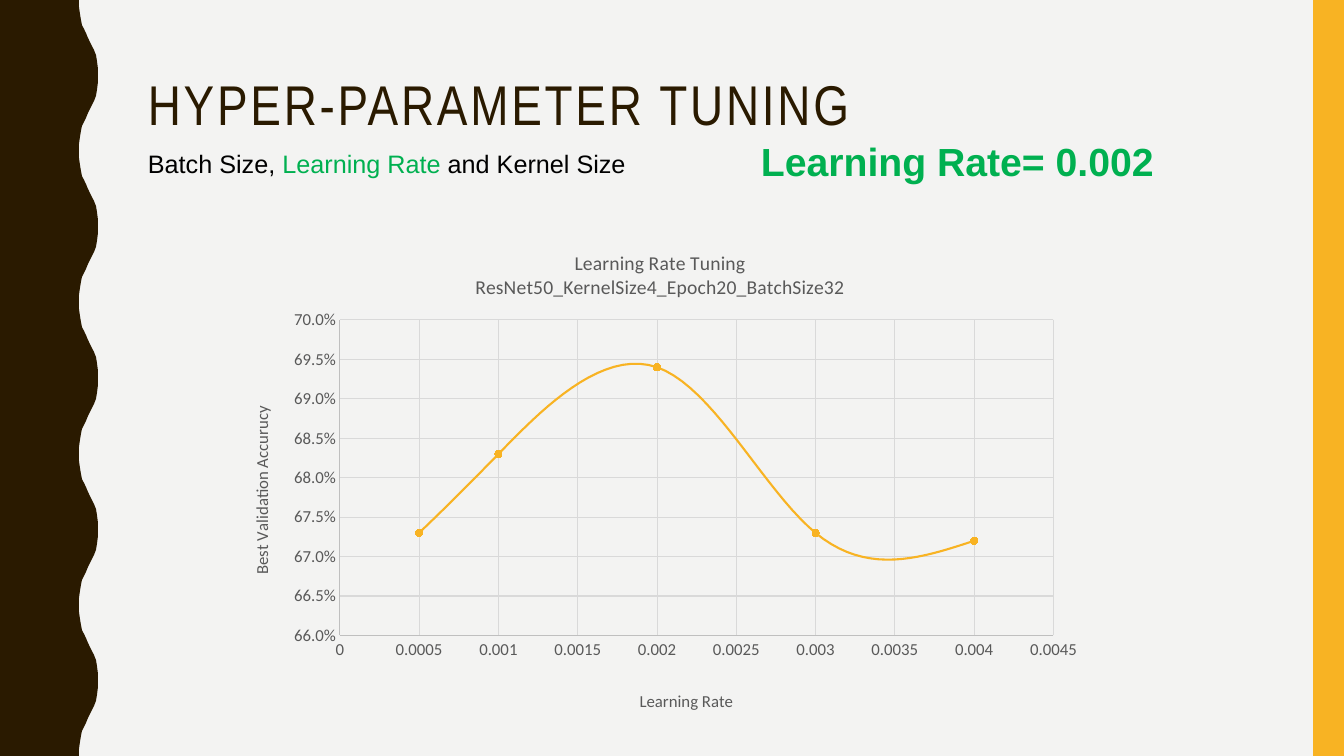
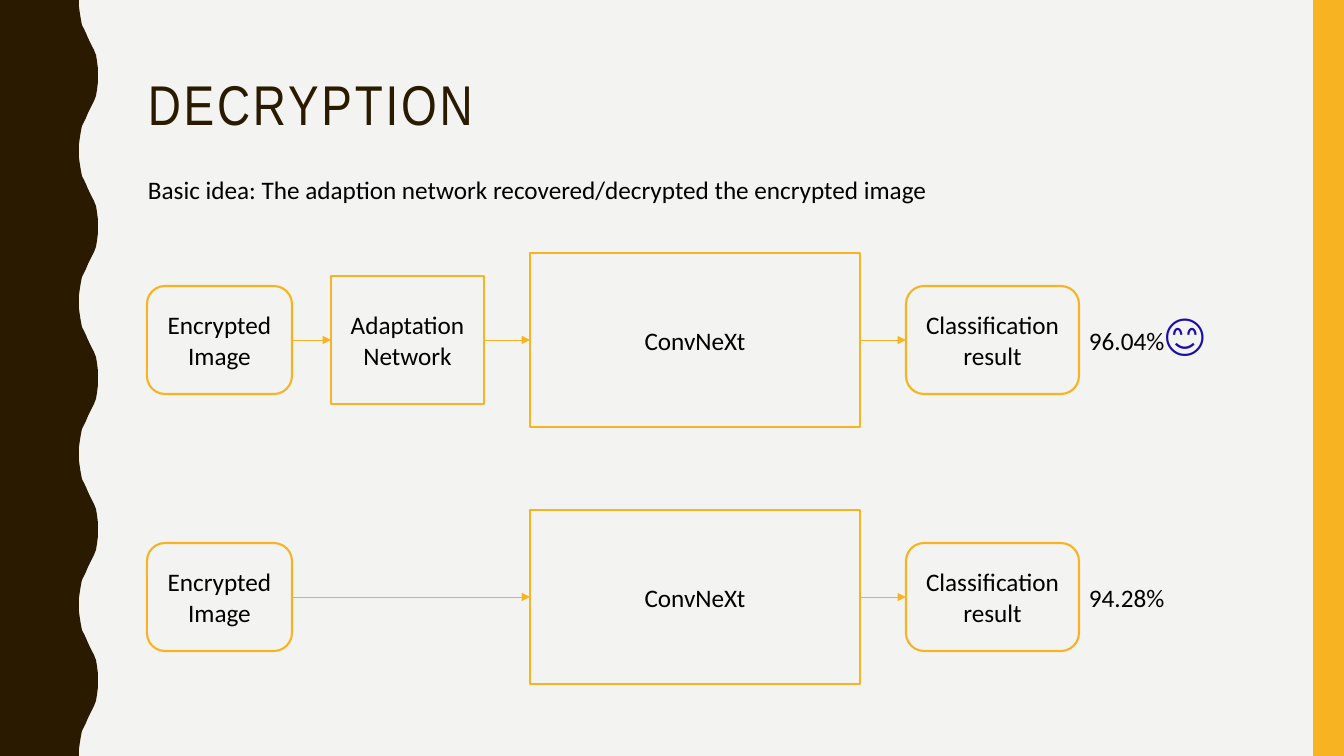
from itertools import pairwise
from lxml.etree import SubElement
from pptx import Presentation
from pptx.chart.data import XyChartData
from pptx.dml.color import RGBColor
from pptx.enum.chart import XL_CHART_TYPE, XL_MARKER_STYLE, XL_TICK_MARK
from pptx.enum.shapes import MSO_CONNECTOR, MSO_SHAPE
from pptx.enum.text import MSO_ANCHOR, PP_ALIGN
from pptx.oxml import parse_xml
from pptx.oxml.ns import nsdecls, qn
from pptx.util import Emu, Pt

WIDE, HIGH = 1344, 756
PX = 12192000 / WIDE

BROWN = RGBColor(0x2A, 0x1A, 0x00)
GOLD = RGBColor(0xF8, 0xB3, 0x23)
PAPER = RGBColor(0xF3, 0xF3, 0xF2)
GREEN = RGBColor(0x00, 0xB0, 0x50)
BLUE = RGBColor(0x1A, 0x0D, 0xAB)
BLACK = RGBColor(0x00, 0x00, 0x00)
GREY = RGBColor(0x59, 0x59, 0x59)
RULE = RGBColor(0xBF, 0xBF, 0xBF)
GRID = RGBColor(0xD9, 0xD9, 0xD9)

# Half a wave, top to crest; the other half mirrors it
HALF = [(79, 0), (79, 7), (80, 14), (81, 20), (82, 25), (84, 29), (86, 33),
        (88, 38), (90, 42), (92, 46), (94, 50), (96, 55), (97, 61), (98, 69),
        (98, 76)]
WAVES = 5
STEP = HIGH / WAVES


def write(slide, box, *runs):
    """Add a text box of (text, size, font, colour) runs and return it."""
    area = slide.shapes.add_textbox(*[Emu(round(n * PX)) for n in box])
    area.text_frame.word_wrap = True
    for text, size, face, color in runs:
        run = area.text_frame.paragraphs[0].add_run()
        run.text = text
        run.font.size, run.font.name = Pt(size), face
        run.font.color.rgb = color
    return area


def place(node, index, **parts):
    """Give a chart part a fixed place, as shares of the chart."""
    for old in node.findall(qn("c:layout")):
        node.remove(old)
    layout = parse_xml(f"<c:layout {nsdecls('c')}><c:manualLayout/></c:layout>")
    if "w" in parts:
        SubElement(layout[0], qn("c:layoutTarget")).set("val", "inner")
    for key in ("x", "y"):
        SubElement(layout[0], qn(f"c:{key}Mode")).set("val", "edge")
    for key, share in parts.items():
        SubElement(layout[0], qn(f"c:{key}")).set("val", str(share))
    node.insert(index, layout)


deck = Presentation()
deck.slide_width, deck.slide_height = Emu(round(WIDE * PX)), Emu(round(HIGH * PX))
back = deck.slide_master.background.fill
back.solid()
back.fore_color.rgb = PAPER

# Shared frame: wavy edge, gold band, title
edge = [(79, 0)]
for wave in range(WAVES):
    top = wave * STEP
    edge += [(x, top + y) for x, y in HALF]
    edge += [(x, top + STEP - y) for x, y in reversed(HALF)]
edge += [(0, HIGH)]

slides = []
for title in ("HYPER-PARAMETER TUNING", "DECRYPTION"):
    slide = deck.slides.add_slide(deck.slide_layouts[6])
    pen = slide.shapes.build_freeform(0, 0, scale=PX)
    pen.add_line_segments(edge, close=True)
    band = slide.shapes.add_shape(
        MSO_SHAPE.RECTANGLE, *[Emu(round(n * PX)) for n in (1313, 0, 31, HIGH)])
    for shape, color in ((pen.convert_to_shape(), BROWN), (band, GOLD)):
        shape.shadow.inherit = False
        shape.fill.solid()
        shape.fill.fore_color.rgb = color
        shape.line.fill.background()
    head = write(slide, (138, 72, 1089, 81), (title, 40, "Arial Narrow", BROWN))
    line = head.text_frame.paragraphs[0]
    line.line_spacing = 0.9
    line.runs[0].font._element.set("spc", "200")
    slides.append(slide)
tuning, flow = slides

# Tuning slide
write(tuning, (138, 143, 865, 40),
      ("Batch Size, ", 18, "Arial", BLACK),
      ("Learning Rate ", 18, "Arial", GREEN),
      ("and Kernel Size", 18, "Arial", BLACK))
best = write(tuning, (751, 132, 425, 57),
             ("Learning Rate= 0.002", 28, "Arial", GREEN))
best.text_frame.paragraphs[0].runs[0].font.bold = True

data = XyChartData()
points = data.add_series("Series 1")
for rate, score in ((0.0005, 0.673), (0.001, 0.683), (0.002, 0.694),
                    (0.003, 0.673), (0.004, 0.672)):
    points.add_data_point(rate, score)
chart = tuning.shapes.add_chart(
    XL_CHART_TYPE.XY_SCATTER_SMOOTH,
    *[Emu(round(n * PX)) for n in (230, 227, 865, 490)], data).chart
chart.has_legend = False
chart.font.name, chart.font.size = "Calibri", Pt(12)
chart.font.color.rgb = GREY
chart.plots[0].vary_by_categories = False

curve = chart.plots[0].series[0]
curve._element.find(qn("c:smooth")).set("val", "1")
curve.format.line.color.rgb = GOLD
curve.format.line.width = Pt(1.5)
curve.marker.style, curve.marker.size = XL_MARKER_STYLE.CIRCLE, 5
curve.marker.format.fill.solid()
curve.marker.format.fill.fore_color.rgb = GOLD
curve.marker.format.line.color.rgb = GOLD

rates, scores = chart.category_axis, chart.value_axis
for axis, low, high, unit, form in ((rates, 0, 0.0045, 0.0005, "General"),
                                    (scores, 0.66, 0.7, 0.005, "0.0%")):
    axis.minimum_scale, axis.maximum_scale, axis.major_unit = low, high, unit
    axis.major_tick_mark = axis.minor_tick_mark = XL_TICK_MARK.NONE
    axis.tick_labels.number_format = form
    axis.tick_labels.number_format_is_linked = False
    axis.has_major_gridlines = True
    for stroke, color in ((axis.format.line, RULE),
                          (axis.major_gridlines.format.line, GRID)):
        stroke.color.rgb = color
        stroke.width = Pt(0.75)

for name, text, size, x, y in (
        (chart.chart_title,
         "Learning Rate Tuning\nResNet50_KernelSize4_Epoch20_BatchSize32",
         14, 0.28, 0.04),
        (rates.axis_title, "Learning Rate", 12, 0.47, 0.94),
        (scores.axis_title, "Best Validation Accurucy", 12, 0.02, 0.36)):
    name.text_frame.text = text
    for line in name.text_frame.paragraphs:
        line.font.size, line.font.bold, line.font.name = Pt(size), False, "Calibri"
        line.font.color.rgb = GREY
    place(name._element, 1, x=x, y=y)
place(chart._chartSpace.chart.plotArea, 0, x=0.127, y=0.19, w=0.825, h=0.645)

# Decryption slide
write(flow, (138, 169, 865, 40),
      ("Basic idea: The adaption network recovered/decrypted the encrypted image",
       18, "Calibri", BLACK))

ROUND, PLAIN = MSO_SHAPE.ROUNDED_RECTANGLE, MSO_SHAPE.RECTANGLE
SOURCE = ("Encrypted\nImage", ROUND, 147, 145, 108)
ADAPT = ("Adaptation\nNetwork", PLAIN, 331, 153, 128)
MODEL = ("ConvNeXt", PLAIN, 530, 330, 174)
RESULT = ("Classification\nresult", ROUND, 906, 173, 108)

for mid, steps in ((340, (SOURCE, ADAPT, MODEL, RESULT)),
                   (597, (SOURCE, MODEL, RESULT))):
    boxes = []
    for text, kind, left, width, height in steps:
        box = flow.shapes.add_shape(
            kind, *[Emu(round(n * PX))
                    for n in (left, mid - height / 2, width, height)])
        box.shadow.inherit = False
        box.fill.background()
        box.line.color.rgb = GOLD
        box.line.width = Pt(1.5)
        box.text_frame.text = text
        box.text_frame.vertical_anchor = MSO_ANCHOR.MIDDLE
        for line in box.text_frame.paragraphs:
            line.alignment = PP_ALIGN.CENTER
            line.font.size, line.font.name = Pt(18), "Calibri"
            line.font.color.rgb = BLACK
        boxes.append(box)
    for start, end in pairwise(boxes):
        arrow = flow.shapes.add_connector(MSO_CONNECTOR.STRAIGHT, 0, 0, 0, 0)
        arrow.begin_connect(start, 3)
        arrow.end_connect(end, 1)
        arrow.line.color.rgb = GOLD
        arrow.line.width = Pt(0.5)
        SubElement(arrow.line._get_or_add_ln(), qn("a:tailEnd")).set("type", "triangle")
        SubElement(arrow._element.spPr, qn("a:effectLst"))

write(flow, (1079, 301, 196, 65),
      ("96.04%", 18, "Calibri", BLACK), ("😊", 32, "Arial", BLUE))
write(flow, (1079, 577, 111, 40), ("94.28%", 18, "Calibri", BLACK))

deck.save("out.pptx")
